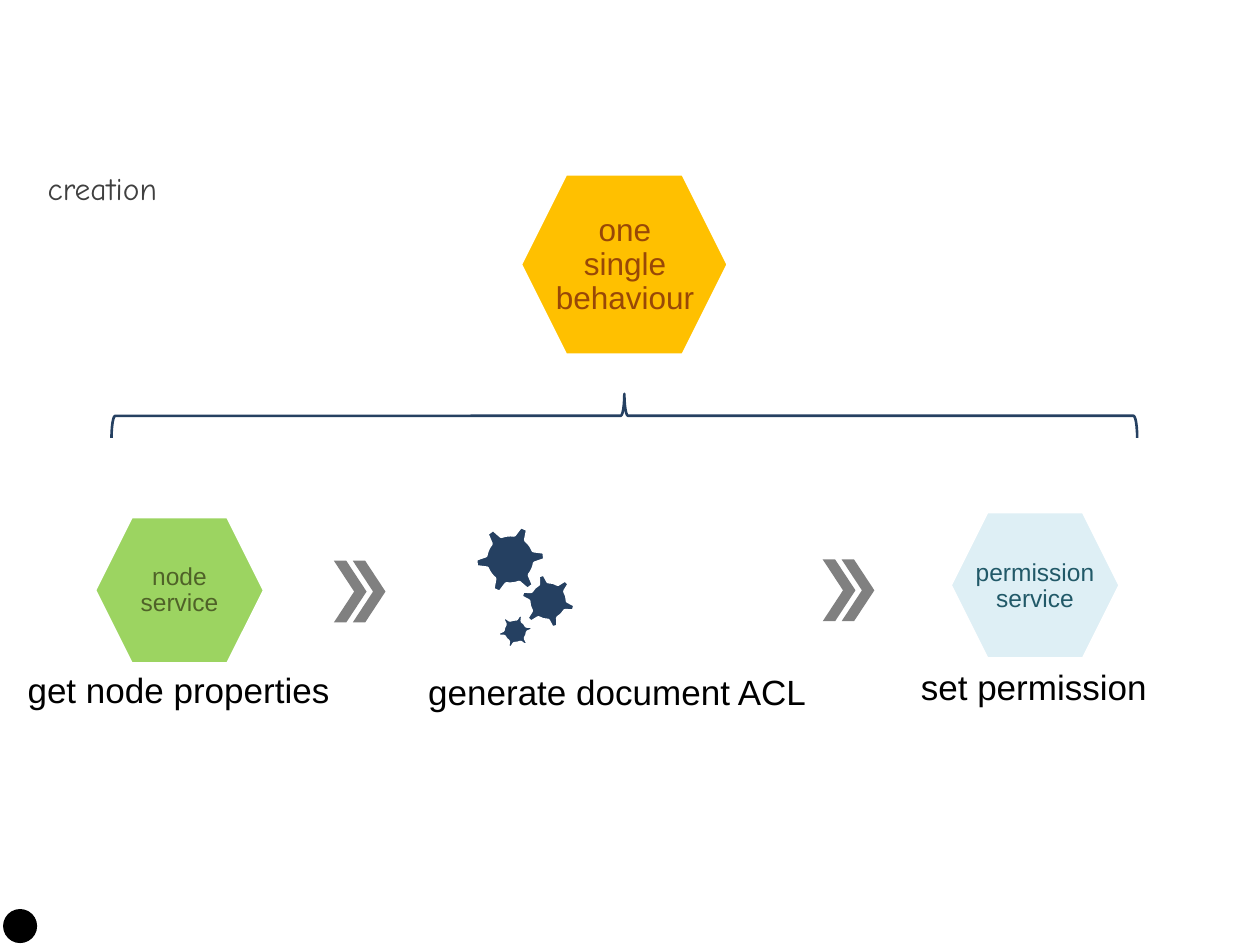
from dataclasses import dataclass

from lxml import etree
from pptx import Presentation
from pptx.dml.color import RGBColor
from pptx.enum.shapes import MSO_SHAPE
from pptx.enum.text import MSO_ANCHOR, MSO_AUTO_SIZE, PP_ALIGN
from pptx.oxml.ns import qn
from pptx.util import Emu, Pt

HEXAGON, GEAR, CHEVRON = MSO_SHAPE.HEXAGON, MSO_SHAPE.GEAR_6, MSO_SHAPE.CHEVRON
BRACE, OVAL = MSO_SHAPE.LEFT_BRACE, MSO_SHAPE.OVAL
MIDDLE, CENTER = MSO_ANCHOR.MIDDLE, PP_ALIGN.CENTER
FIT_SHAPE = MSO_AUTO_SIZE.SHAPE_TO_FIT_TEXT

EMU_PER_PX = 9144  # 100 px to the inch
NAVY, GREY, WHITE, BLACK = "254061", "808080", "FFFFFF", "000000"
CHEVRON_STEP = 15


@dataclass
class Box:
    x: int
    y: int
    w: int
    h: int

    def emu(self) -> list[Emu]:
        return [Emu(v * EMU_PER_PX) for v in (self.x, self.y, self.w, self.h)]


@dataclass
class Gear:
    x: int
    y: int
    size: int
    angle: float


@dataclass
class Service:
    text: str
    box: Box
    text_box: Box
    fill: str
    color: str
    size: int
    alpha: int = 100


@dataclass
class Label:
    text: str
    box: Box
    size: int = 20
    font: str = "Arial"
    color: str = BLACK


GEARS = [Gear(413, 455, 44, 345), Gear(377, 416, 56, 324), Gear(395, 487, 28, 319.5)]

SERVICES = [
    Service("one single behaviour", Box(413, 138, 165, 144), Box(440, 161, 112, 99),
            "FFC000", "984807", 18),
    Service("node service", Box(75, 410, 135, 117), Box(89, 428, 107, 81),
            "92D050", "4F6228", 14, 90),
    Service("permission service", Box(754, 406, 135, 117), Box(768, 425, 107, 81),
            "DBEEF4", "215968", 14, 90),
]

LABELS = [
    Label("creation", Box(28, 129, 117, 40), 18, "Comic Neue", "404040"),
    Label("get node properties", Box(12, 526, 262, 44)),
    Label("generate document ACL", Box(330, 527, 322, 44)),
    Label("set permission", Box(721, 523, 201, 44)),
]

ARROWS = [Box(265, 445, 26, 49), Box(653, 444, 26, 49)]


def rgb(color: str) -> RGBColor:
    return RGBColor.from_string(color)


def add_shape(s, kind, box: Box, fill: str | None, line: str | None = None,
              width: float = 2, angle: float = 0):
    sp = s.shapes.add_shape(kind, *box.emu())
    sp.shadow.inherit = False
    sp.rotation = angle
    if fill:
        sp.fill.solid()
        sp.fill.fore_color.rgb = rgb(fill)
    else:
        sp.fill.background()
    if line:
        sp.line.color.rgb = rgb(line)
        sp.line.width = Pt(width)
    else:
        sp.line.fill.background()
    return sp


def set_alpha(sp, percent: int) -> None:
    """Set the opacity of a solid fill."""
    color = sp._element.spPr.find(qn("a:solidFill"))[0]
    etree.SubElement(color, qn("a:alpha")).set("val", str(percent * 1000))


def add_text(s, text: str, box: Box, size: int, font: str, color: str):
    tb = s.shapes.add_textbox(*box.emu())
    p = tb.text_frame.paragraphs[0]
    p.text = text
    p.font.size = Pt(size)
    p.font.name = font
    p.font.color.rgb = rgb(color)
    return tb.text_frame


def add_service(s, service: Service) -> None:
    sp = add_shape(s, HEXAGON, service.box, service.fill, WHITE)
    if service.alpha < 100:
        set_alpha(sp, service.alpha)
    tf = add_text(s, service.text, service.text_box, service.size, "Arial", service.color)
    tf.word_wrap = True
    tf.vertical_anchor = MIDDLE
    tf.margin_left = tf.margin_right = 0
    tf.margin_top = tf.margin_bottom = Emu(3 * EMU_PER_PX)
    tf.paragraphs[0].alignment = CENTER
    tf.paragraphs[0].line_spacing = 0.9


def add_label(s, label: Label) -> None:
    tf = add_text(s, label.text, label.box, label.size, label.font, label.color)
    tf.word_wrap = False
    tf.auto_size = FIT_SHAPE


def add_double_chevron(s, box: Box) -> None:
    for i in range(2):
        sp = add_shape(s, CHEVRON, Box(box.x + i * CHEVRON_STEP, box.y, box.w, box.h), GREY)
        sp.adjustments[0] = 0.62


def main() -> None:
    prs = Presentation()
    prs.slide_width, prs.slide_height = Emu(1000 * EMU_PER_PX), Emu(750 * EMU_PER_PX)
    s = prs.slides.add_slide(prs.slide_layouts[6])

    for gear in GEARS:
        add_shape(s, GEAR, Box(gear.x, gear.y, gear.size, gear.size), NAVY, WHITE,
                  angle=gear.angle)
    for service in SERVICES:
        add_service(s, service)
    add_shape(s, BRACE, Box(478, -77, 35, 814), None, NAVY, 1.5, 90)
    for arrow in ARROWS:
        add_double_chevron(s, arrow)
    for label in LABELS:
        add_label(s, label)
    add_shape(s, OVAL, Box(3, 722, 26, 26), BLACK, BLACK, 0.75)

    prs.save("out.pptx")


if __name__ == "__main__":
    main()
